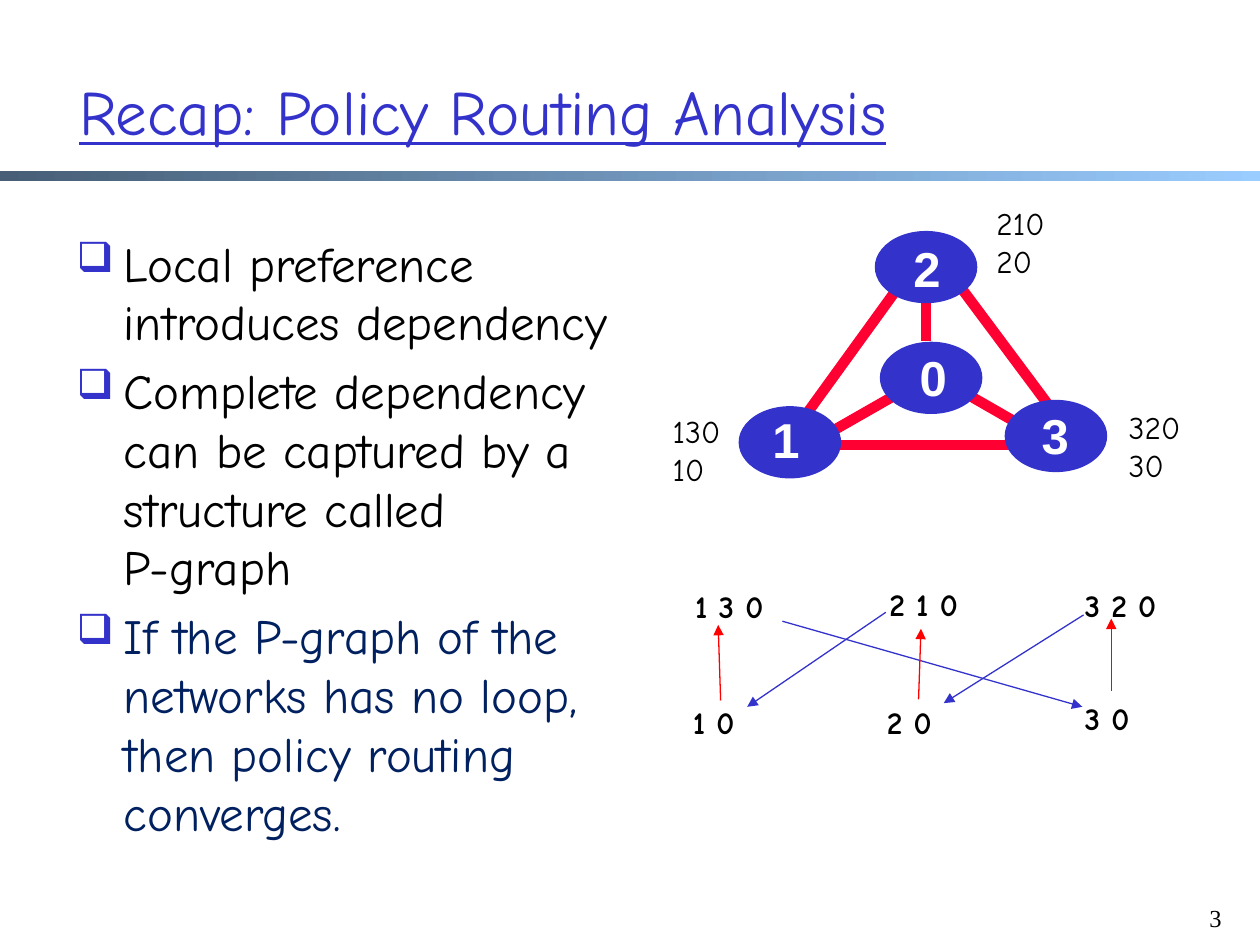
import pptx
import pptx.dml.color
import pptx.enum.shapes
import pptx.enum.text
import pptx.oxml.ns
import pptx.util
from lxml import etree

Pt = pptx.util.Pt
RGBColor = pptx.dml.color.RGBColor
Shapes = pptx.enum.shapes.MSO_SHAPE
Anchor = pptx.enum.text.MSO_ANCHOR
qn = pptx.oxml.ns.qn

BLUE = RGBColor(0x33, 0x33, 0xCC)
NAVY = RGBColor(0x00, 0x20, 0x60)
BLACK = RGBColor(0, 0, 0)
WHITE = RGBColor(0xFF, 0xFF, 0xFF)
RED = RGBColor(0xFF, 0, 0)
CRIMSON = RGBColor(0xFF, 0, 0x33)
SLATE = RGBColor(0x47, 0x5E, 0x76)
SKY = RGBColor(0x99, 0xCC, 0xFF)


class RoutingSlide:
    body_font = "Comic Neue"
    node_font = "Arial"
    number_font = "Times New Roman"

    def __init__(self, slide):
        self.shapes = slide.shapes

    def text(self, lines, left, top, width, height, size, font=body_font, color=BLACK,
             bold=None, underline=None, wrap=True, anchor=Anchor.TOP):
        """Place one paragraph per line and return the paragraphs."""
        frame = self.shapes.add_textbox(Pt(left), Pt(top), Pt(width), Pt(height)).text_frame
        frame.word_wrap = wrap
        frame.vertical_anchor = anchor
        for index, line in enumerate(lines):
            paragraph = frame.add_paragraph() if index else frame.paragraphs[0]
            for part_index, part in enumerate(line.split("\n")):
                if part_index:
                    paragraph.add_line_break()
                run = paragraph.add_run()
                run.text = part
                run.font.size = Pt(size)
                run.font.name = font
                run.font.color.rgb = color
                run.font.bold = bold
                run.font.underline = underline
        return frame.paragraphs

    def bullets(self, points, left, top, width, height, size):
        paragraphs = self.text([words for words, _ in points], left, top, width, height, size)
        for index, (paragraph, (_, color)) in enumerate(zip(paragraphs, points)):
            properties = paragraph._p.get_or_add_pPr()
            properties.set("marL", str(Pt(27)))
            properties.set("indent", str(-Pt(27)))
            bullet_color = etree.SubElement(properties, qn("a:buClr"))
            etree.SubElement(bullet_color, qn("a:srgbClr"), val=str(BLUE))
            etree.SubElement(properties, qn("a:buSzPct"), val="85000")
            etree.SubElement(properties, qn("a:buChar"), char="❑")
            if index:
                paragraph.space_before = Pt(0.2 * size)
            for run in paragraph.runs:
                run.font.color.rgb = color

    def line(self, start, end, color, width, arrow=False):
        connector = self.shapes.add_connector(
            pptx.enum.shapes.MSO_CONNECTOR.STRAIGHT, *map(Pt, start + end))
        connector.line.color.rgb = color
        connector.line.width = Pt(width)
        if arrow:
            etree.SubElement(connector.line._get_or_add_ln(), qn("a:tailEnd"), type="triangle")
        etree.SubElement(connector._element.spPr, qn("a:effectLst"))

    def shape(self, kind, left, top, width, height):
        shape = self.shapes.add_shape(kind, Pt(left), Pt(top), Pt(width), Pt(height))
        shape.shadow.inherit = False
        return shape

    def gradient_bar(self, left, top, width, height):
        bar = self.shape(Shapes.RECTANGLE, left, top, width, height)
        bar.line.fill.background()
        bar.fill.gradient()
        bar.fill.gradient_angle = 0
        for stop, color in zip(bar.fill.gradient_stops, (SLATE, SKY)):
            stop.color.rgb = color

    def node(self, number, corner, label_corner):
        ellipse = self.shape(Shapes.OVAL, *corner, 57.6, 40.3)
        ellipse.fill.solid()
        ellipse.fill.fore_color.rgb = BLUE
        ellipse.line.color.rgb = BLUE
        ellipse.line.width = Pt(1)
        self.text([number], *label_corner, 30.2, 41, 28, self.node_font, WHITE,
                  bold=True, wrap=False)


def main():
    deck = pptx.Presentation()
    deck.slide_width, deck.slide_height = Pt(720), Pt(540)
    recap = RoutingSlide(deck.slides.add_slide(deck.slide_layouts[6]))

    recap.gradient_bar(0, 97.9, 720, 5.8)
    recap.text(["Recap: Policy Routing Analysis"], 38.2, 18, 657.4, 90, 36,
               color=BLUE, underline=True, anchor=Anchor.MIDDLE)
    recap.bullets([
        ("Local preference introduces dependency", BLACK),
        ("Complete dependency can be captured by a structure called \nP-graph", BLACK),
        ("If the P-graph of the networks has no loop, then policy routing converges.", NAVY),
    ], 36.7, 129.6, 352.8, 358.6, 28)

    # P-graph: paths joined by dependency and extension arrows
    p_graph_paths = [
        ("2 1 0", 501.1, 330.5), ("2 0", 499.7, 398.2), ("1 0", 388.8, 398.2),
        ("3 0", 612.7, 396), ("1 3 0", 390.2, 331.9), ("3 2 0", 612.7, 331.2),
    ]
    for hops, left, top in p_graph_paths:
        recap.text([hops], left, top, 86.4, 28.8, 18, bold=True)

    p_graph_arrows = {
        BLUE: [((447.1, 355), (618.5, 403.9)), ((506.2, 349.9), (427, 403.9)),
               ((619.2, 351.4), (539.3, 401.8))],
        RED: [((411.8, 400.3), (410.4, 357.1)), ((524.9, 399.6), (526.3, 359.3)),
              ((635, 394.6), (635, 353.5))],
    }
    for color, arrows in p_graph_arrows.items():
        for start, end in arrows:
            recap.line(start, end, color, 0.75, arrow=True)

    # Network: links, nodes and the path preferences beside them
    links = [
        ((613.4, 250.6), (539.3, 151.2)), ((522.7, 151.2), (445, 258.5)),
        ((529.2, 139.7), (529.2, 195.1)), ((526.3, 217.4), (474.5, 247)),
        ((590.4, 247), (551.5, 224.6)), ((619.9, 254.2), (445, 254.2)),
    ]
    for start, end in links:
        recap.line(start, end, CRIMSON, 6)

    nodes = [
        ("2", (500.4, 132.5), (514.8, 132.5)), ("0", (503.3, 195.8), (518.4, 195.1)),
        ("3", (574.6, 229), (588.2, 228.2)), ("1", (422.6, 232.6), (434.2, 230.4)),
    ]
    for number, corner, label_corner in nodes:
        recap.node(number, corner, label_corner)

    preferences = [
        (["320", "30"], 637.9, 229.7, 47.5), (["210", "20"], 562.3, 113, 44.6),
        (["130", "10"], 377.3, 231.8, 44.6),
    ]
    for ranked_paths, left, top, width in preferences:
        recap.text(ranked_paths, left, top, width, 50.4, 18, wrap=False)

    recap.text(["3"], 684, 512.6, 36, 36, 14, recap.number_font)
    deck.save("out.pptx")


if __name__ == "__main__":
    main()
